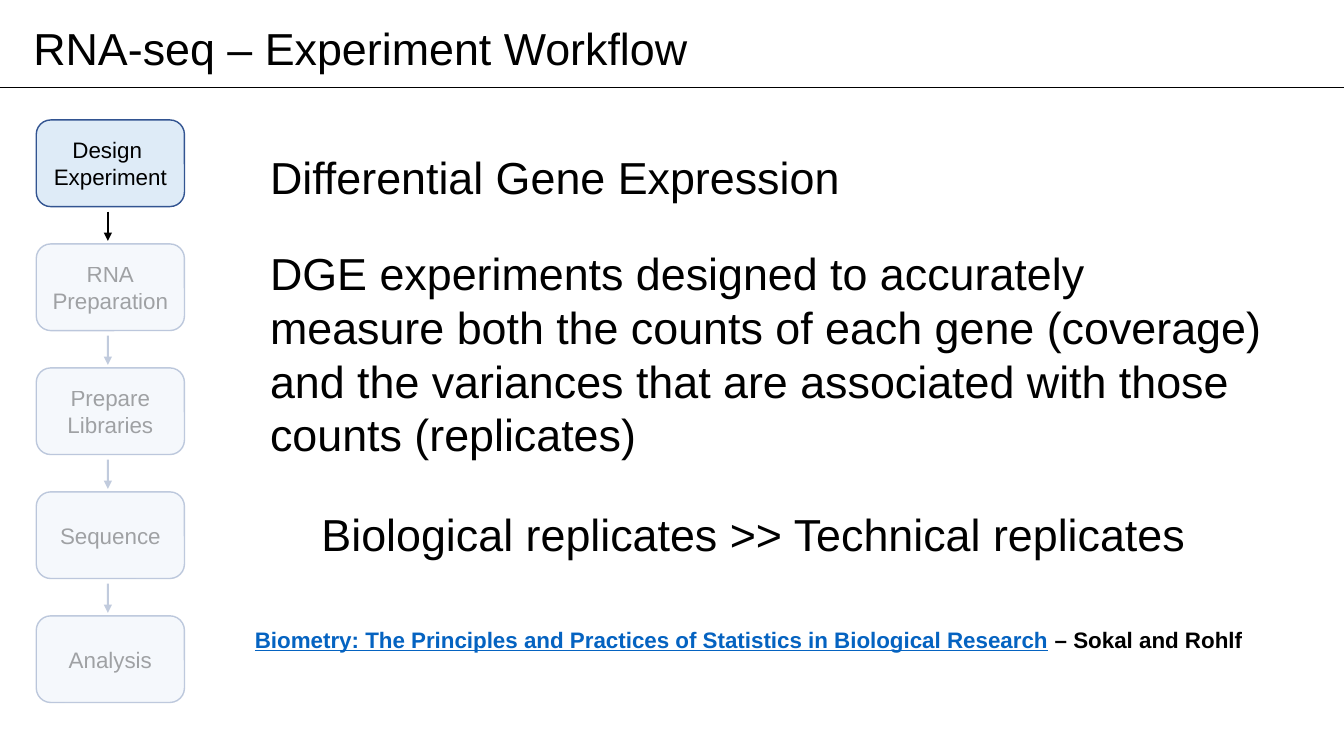
from lxml.etree import SubElement
from pptx import Presentation
from pptx.dml.color import RGBColor
from pptx.enum.shapes import MSO_CONNECTOR as CONN, MSO_SHAPE as SHAPE
from pptx.enum.text import MSO_ANCHOR as ANCHOR, MSO_AUTO_SIZE as AUTO, PP_ALIGN as ALIGN
from pptx.oxml.ns import qn
from pptx.util import Inches, Pt

BLACK, NAVY, PALE, LINK = "000000", "325491", "DEEBF7", "0563C1"
STEPS = [["Design ", "Experiment"], ["RNA", "Preparation"],
         ["Prepare", "Libraries"], ["Sequence"], ["Analysis"]]
STEP_TOP, STEP_PITCH = 1.19, 1.23
ARROW_X, ARROW_TOP, ARROW_LENGTH = 1.07, 2.1, 0.29
STATEMENTS = [
    ("Differential Gene Expression", (2.58, 1.44, 9.57, 0.94)),
    ("DGE experiments designed to accurately measure both the counts of each gene "
     "(coverage) and the variances that are associated with those counts (replicates)",
     (2.58, 2.39, 10.1, 2.56)),
    ("Biological replicates >> Technical replicates", (3.09, 4.98, 9.02, 0.64)),
]


def color(value):
    return RGBColor.from_string(value)


def fade(element, percent):
    """Make every colour inside the element partly transparent."""
    for clr in element.iter(qn("a:srgbClr")):
        SubElement(clr, qn("a:alpha"), val=str(percent * 1000))


def add_run(p, text, size, ink=BLACK, **formats):
    r = p.add_run()
    r.text = text
    r.font.color.rgb = color(ink)
    for name, value in {"name": "Arial", "size": Pt(size), **formats}.items():
        setattr(r.font, name, value)


def add_title(slide, text):
    s = slide.shapes.title
    s.left, s.top, s.width, s.height = map(Inches, (0.23, 0.16, 6.75, 0.64))
    formats = {"word_wrap": False, "auto_size": AUTO.NONE, "vertical_anchor": ANCHOR.TOP}
    for name, value in formats.items():
        setattr(s.text_frame, name, value)
    p = s.text_frame.paragraphs[0]
    p.alignment = ALIGN.LEFT
    add_run(p, text, 32)


def add_text(slide, box):
    """Add a wrapping text box and return its first paragraph."""
    tf = slide.shapes.add_textbox(*map(Inches, box)).text_frame
    tf.word_wrap = True
    return tf.paragraphs[0]


def add_line(slide, start, end, ink, width):
    s = slide.shapes.add_connector(CONN.STRAIGHT, *map(Inches, start + end))
    s.line.color.rgb = color(ink)
    s.line.width = Pt(width)
    SubElement(s.element.spPr, qn("a:effectLst"))
    return s


def add_step(slide, top, lines, active):
    s = slide.shapes.add_shape(SHAPE.ROUNDED_RECTANGLE,
                               *map(Inches, (0.36, top, 1.47, 0.86)))
    s.shadow.inherit = False
    s.fill.solid()
    s.fill.fore_color.rgb = color(PALE)
    s.line.color.rgb = color(NAVY)
    s.line.width = Pt(1)
    tf = s.text_frame
    tf.vertical_anchor = ANCHOR.MIDDLE
    for i, line in enumerate(lines):
        p = tf.add_paragraph() if i else tf.paragraphs[0]
        p.alignment = ALIGN.CENTER
        add_run(p, line, 16)
    if not active:
        fade(s.element.spPr, 30)
        fade(s.element.txBody, 35)


def add_arrow(slide, top, active):
    s = add_line(slide, (ARROW_X, top), (ARROW_X, top + ARROW_LENGTH),
                 BLACK if active else NAVY, 1.5)
    SubElement(s.line._get_or_add_ln(), qn("a:tailEnd"), type="triangle")
    if not active:
        fade(s.element.spPr, 30)


def main():
    prs = Presentation()
    prs.slide_width, prs.slide_height = Inches(13.33), Inches(7.5)
    slide = prs.slides.add_slide(prs.slide_layouts[5])

    add_line(slide, (0, 0.87), (13.33, 0.87), BLACK, 0.5)
    add_title(slide, "RNA-seq – Experiment Workflow")
    for text, box in STATEMENTS:
        add_run(add_text(slide, box), text, 32)

    citation = add_text(slide, (2.43, 6.16, 10.1, 0.37))
    add_run(citation, "Biometry: The Principles and Practices of Statistics in "
            "Biological Research", 16, LINK, bold=True, underline=True)
    add_run(citation, " – Sokal and Rohlf", 16, bold=True)

    for i, lines in enumerate(STEPS):
        add_step(slide, STEP_TOP + i * STEP_PITCH, lines, active=i == 0)
    for i in range(len(STEPS) - 1):
        add_arrow(slide, ARROW_TOP + i * STEP_PITCH, active=i == 0)

    prs.save("out.pptx")


if __name__ == "__main__":
    main()
